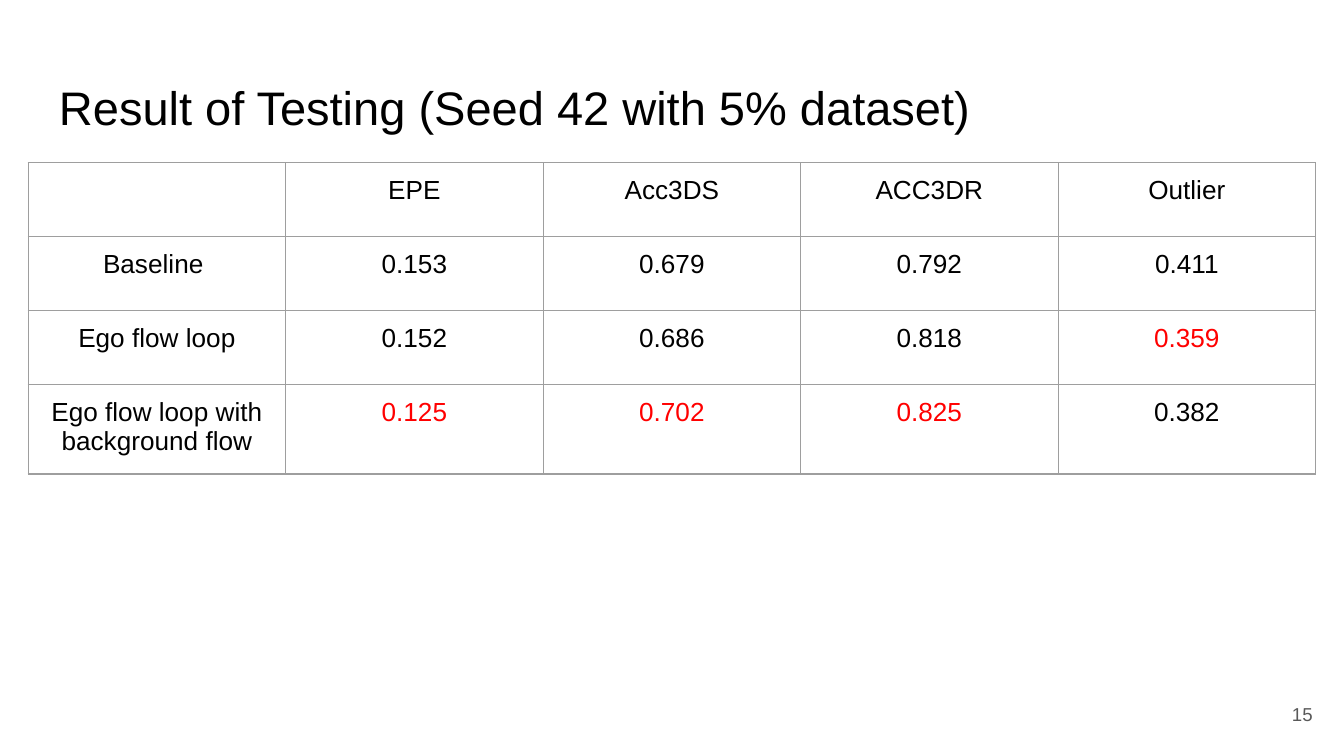
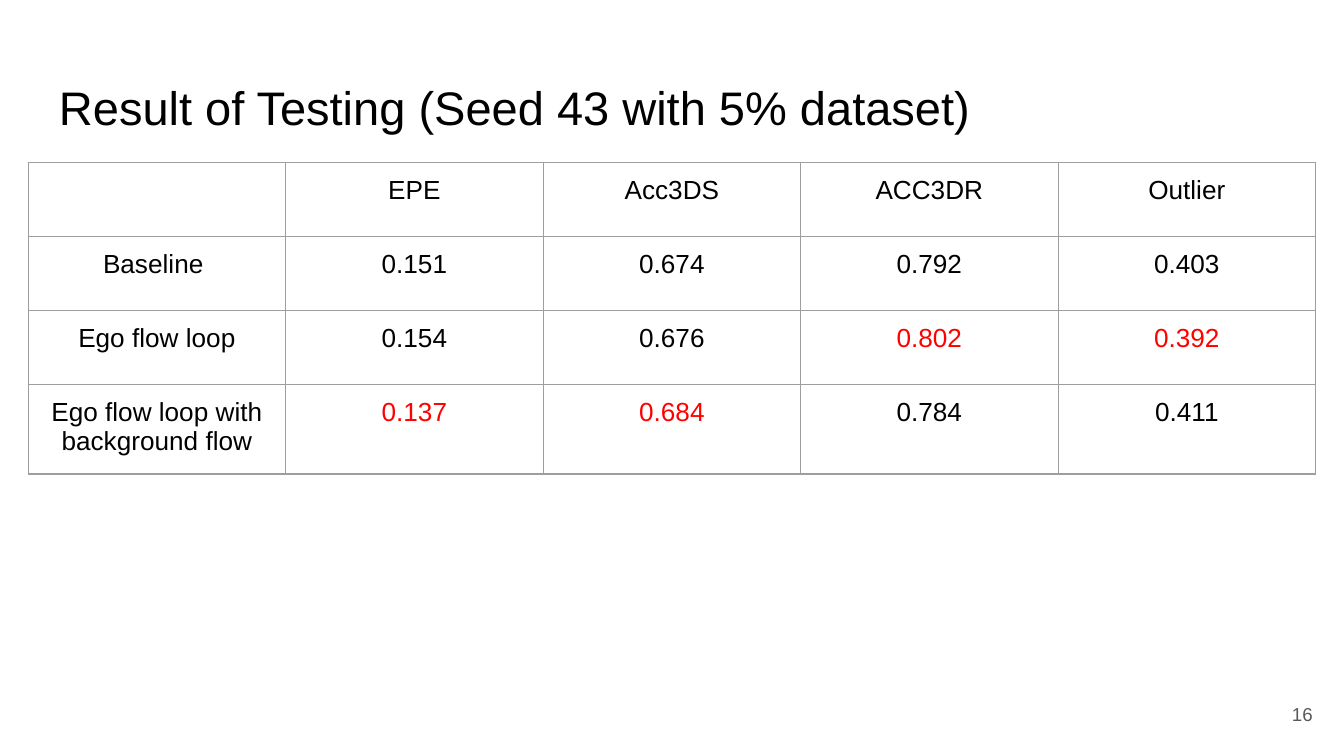
from dataclasses import dataclass

from lxml.etree import SubElement
from pptx import Presentation
from pptx.dml.color import RGBColor
from pptx.enum.text import MSO_ANCHOR, PP_ALIGN
from pptx.oxml.ns import qn
from pptx.util import Pt


@dataclass(frozen=True)
class Theme:
    font: str = "Arial"
    text: str = "000000"
    best: str = "FF0000"
    muted: str = "595959"
    border: str = "9E9E9E"
    border_width: float = 0.75
    title_size: float = 25.2
    cell_size: float = 14
    number_size: float = 10
    inset: float = 7.2


THEME = Theme()

# Each metric with the rule that picks its best value
METRICS = {"EPE": min, "Acc3DS": max, "ACC3DR": max, "Outlier": min}
METHODS = ["Baseline ", "Ego flow loop", "Ego flow loop with background flow"]
ROW_HEIGHTS = [39.6, 39.6, 39.6, 42.5]
COLUMN_WIDTH = 137.95

# Page number, seed, and one row of values per method
RESULTS = [
    (15, 42, [["0.153", "0.679", "0.792", "0.411"],
              ["0.152", "0.686", "0.818", "0.359"],
              ["0.125", "0.702", "0.825", "0.382"]]),
    (16, 43, [["0.151", "0.674", "0.792", "0.403"],
              ["0.154", "0.676", "0.802", "0.392"],
              ["0.137", "0.684", "0.784", "0.411"]]),
]


def write(tf, text, *, size, color=THEME.text, align=PP_ALIGN.LEFT):
    p = tf.paragraphs[0]
    p.alignment = align
    r = p.add_run()
    r.text = text
    r.font.name = THEME.font
    r.font.size = Pt(size)
    r.font.color.rgb = RGBColor.from_string(color)


def set_insets(target):
    for side in ("left", "top", "right", "bottom"):
        setattr(target, f"margin_{side}", Pt(THEME.inset))


def add_text(s, box, text, *, anchor=MSO_ANCHOR.TOP, **fmt):
    sp = s.shapes.add_textbox(*map(Pt, box))
    tf = sp.text_frame
    tf.word_wrap = True
    tf.vertical_anchor = anchor
    set_insets(tf)
    write(tf, text, **fmt)


def style_cell(cell):
    set_insets(cell)
    cell.fill.background()
    tc_pr = cell._tc.get_or_add_tcPr()
    # Borders come before the fill in the cell properties
    for i, side in enumerate(("lnL", "lnR", "lnT", "lnB")):
        ln = SubElement(tc_pr, qn(f"a:{side}"), w=str(Pt(THEME.border_width)))
        fill = SubElement(ln, qn("a:solidFill"))
        SubElement(fill, qn("a:srgbClr"), val=THEME.border)
        tc_pr.insert(i, ln)


def add_results_table(s, values):
    rows = [["", *METRICS]] + [[m, *v] for m, v in zip(METHODS, values)]
    best = [pick(column, key=float)
            for pick, column in zip(METRICS.values(), zip(*values))]
    n_cols = len(rows[0])
    frame = s.shapes.add_table(len(rows), n_cols, Pt(15.1), Pt(87.1),
                               Pt(COLUMN_WIDTH * n_cols), Pt(sum(ROW_HEIGHTS)))
    table = frame.table
    table.first_row = table.horz_banding = False
    for column in table.columns:
        column.width = Pt(COLUMN_WIDTH)
    for i, (row, height) in enumerate(zip(rows, ROW_HEIGHTS)):
        table.rows[i].height = Pt(height)
        for j, text in enumerate(row):
            cell = table.cell(i, j)
            style_cell(cell)
            if text:
                is_best = i > 0 and j > 0 and text == best[j - 1]
                write(cell.text_frame, text, size=THEME.cell_size,
                      color=THEME.best if is_best else THEME.text,
                      align=PP_ALIGN.CENTER)


def add_result_slide(prs, number, seed, values):
    s = prs.slides.add_slide(prs.slide_layouts[6])
    # Title
    add_text(s, (24.5, 35, 671, 45.1),
             f"Result of Testing (Seed {seed} with 5% dataset)",
             size=THEME.title_size)
    # Page number
    add_text(s, (667.1, 367.2, 43.2, 31), str(number), size=THEME.number_size,
             color=THEME.muted, align=PP_ALIGN.RIGHT, anchor=MSO_ANCHOR.MIDDLE)
    # Scores, best value of each metric in red
    add_results_table(s, values)


def main():
    prs = Presentation()
    prs.slide_width, prs.slide_height = Pt(720), Pt(405)
    for result in RESULTS:
        add_result_slide(prs, *result)
    prs.save("out.pptx")


if __name__ == "__main__":
    main()
